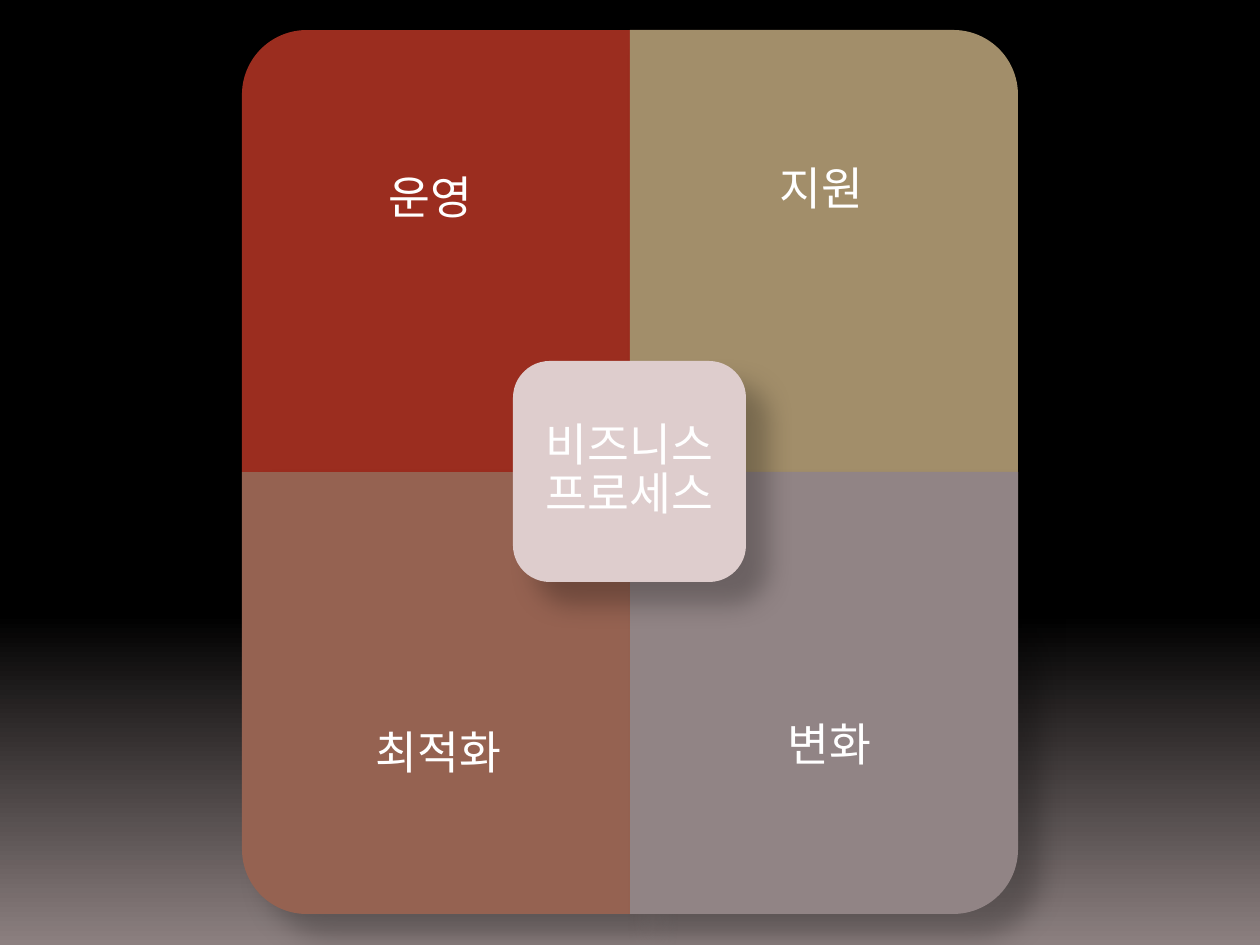
from dataclasses import dataclass

from lxml.etree import SubElement
from pptx import Presentation
from pptx.dml.color import RGBColor
from pptx.enum.shapes import MSO_SHAPE as Preset
from pptx.enum.text import MSO_ANCHOR as Anchor, PP_ALIGN as Align
from pptx.oxml.ns import qn
from pptx.util import Emu, Pt


@dataclass(frozen=True)
class Theme:
    font: str = "Calibri"
    text_size: int = 26
    text: str = "FFFFFF"
    dark: str = "000000"
    glow: str = "8C8080"
    center: str = "DECDCD"
    shadow: str = "000000"


@dataclass(frozen=True)
class Box:
    left: int
    top: int
    width: int
    height: int

    def inside(self, left, top, width, height):
        return Box(self.left + left, self.top + top, width, height)

    def emu(self):
        return [px(n) for n in (self.left, self.top, self.width, self.height)]


@dataclass(frozen=True)
class Quadrant:
    text: str
    color: str
    column: int
    row: int
    rotation: int
    label: tuple  # left, top, width, height within the quadrant


THEME = Theme()
PX_PER_INCH = 126
OUTER_INSET, INNER_INSET = 14, 25
QUADRANTS = (
    Quadrant("운영", "9B2D1F", 0, 0, 270, (0, 19, 388, 312)),
    Quadrant("지원", "A28E6A", 1, 0, 0, (0, 0, 372, 333)),
    Quadrant("최적화", "956251", 0, 1, 180, (16, 111, 372, 333)),
    Quadrant("변화", "918485", 1, 1, 90, (0, 111, 388, 316)),
)


def px(length):
    return Emu(round(length * 914400 / PX_PER_INCH))


def rgb(color):
    return RGBColor.from_string(color)


def paint_background(page):
    fill = page.background.fill
    fill.gradient()
    fill.gradient_angle = 270
    for stop, position, color in zip(
        fill.gradient_stops, (0.65, 1), (THEME.dark, THEME.glow)
    ):
        stop.position = position
        stop.color.rgb = rgb(color)


def add_shadow(shape):
    """Soft shadow cast down and to the right, whatever the rotation."""
    shape.shadow.inherit = False
    effects = shape._element.spPr.find(qn("a:effectLst"))
    shadow = SubElement(
        effects, qn("a:outerShdw"), blurRad=str(Pt(15)), dist=str(Pt(18)),
        dir="2700000", algn="ctr", rotWithShape="0",
    )
    color = SubElement(shadow, qn("a:srgbClr"), val=THEME.shadow)
    SubElement(color, qn("a:alpha"), val="26000")


def add_panel(page, preset, box, color, rotation=0):
    shape = page.shapes.add_shape(preset, *box.emu())
    shape.rotation = rotation
    shape.fill.solid()
    shape.fill.fore_color.rgb = rgb(color)
    shape.line.fill.background()
    add_shadow(shape)


def add_label(page, box, text, insets):
    """Centred label; insets run left, top, right, bottom."""
    frame = page.shapes.add_textbox(*box.emu()).text_frame
    frame.word_wrap = True
    frame.vertical_anchor = Anchor.MIDDLE
    (frame.margin_left, frame.margin_top,
     frame.margin_right, frame.margin_bottom) = map(px, insets)
    para = frame.paragraphs[0]
    para.text = text
    para.alignment = Align.CENTER
    para.line_spacing = 0.9
    para.space_after = Pt(9)
    para.font.name = THEME.font
    para.font.size = Pt(THEME.text_size)
    para.font.color.rgb = rgb(THEME.text)


def add_quadrant(page, box, quadrant):
    """Panel with its round corner outward, and a label set off the centre."""
    width, height = box.width, box.height
    if quadrant.rotation % 180:
        width, height = height, width
    panel = box.inside(
        (box.width - width) // 2, (box.height - height) // 2, width, height
    )
    add_panel(page, Preset.ROUND_1_RECTANGLE, panel, quadrant.color, quadrant.rotation)
    sides = (OUTER_INSET, INNER_INSET)
    across = sides[::-1] if quadrant.column else sides
    down = sides[::-1] if quadrant.row else sides
    insets = (across[0], down[0], across[1], down[1])
    add_label(page, box.inside(*quadrant.label), quadrant.text, insets)


def add_center(page, box, text):
    add_panel(page, Preset.ROUNDED_RECTANGLE, box, THEME.center)
    edge = 11
    label = box.inside(edge, edge, box.width - 2 * edge, box.height - 2 * edge)
    add_label(page, label, text, [OUTER_INSET] * 4)


def add_matrix(page, box):
    width, height = box.width // 2, box.height // 2
    for quadrant in QUADRANTS:
        cell = box.inside(quadrant.column * width, quadrant.row * height, width, height)
        add_quadrant(page, cell, quadrant)
    center_width, center_height = 233, 221
    center = box.inside(
        (box.width - center_width) // 2, (box.height - center_height) // 2,
        center_width, center_height,
    )
    add_center(page, center, "비즈니스 프로세스")


def main():
    deck = Presentation()
    deck.slide_width, deck.slide_height = px(1260), px(945)
    page = deck.slides.add_slide(deck.slide_layouts[6])
    paint_background(page)
    add_matrix(page, Box(242, 30, 776, 884))
    deck.save("out.pptx")


if __name__ == "__main__":
    main()
